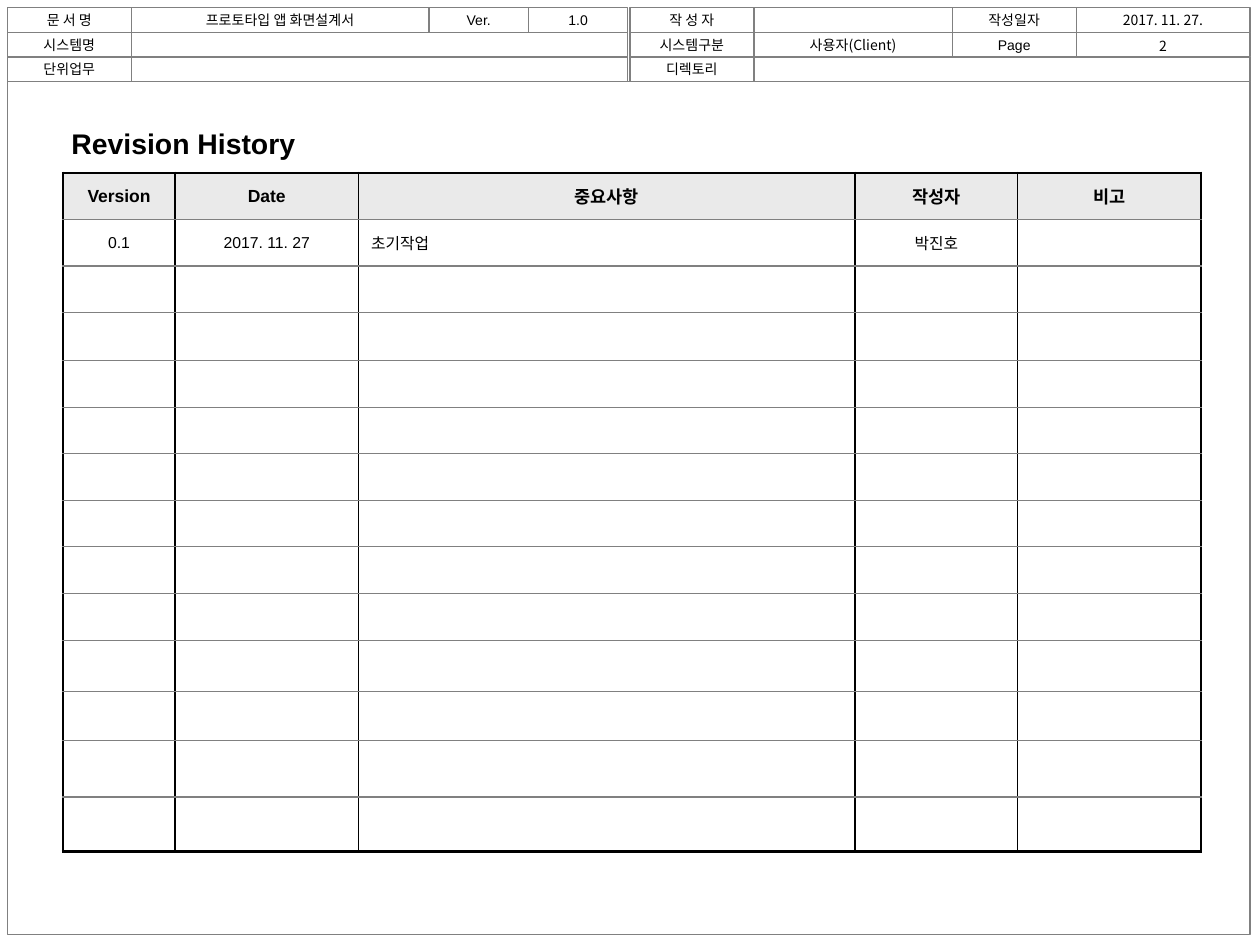
from dataclasses import dataclass

from lxml.etree import SubElement
from pptx import Presentation
from pptx.dml.color import RGBColor
from pptx.enum.shapes import MSO_SHAPE as Preset
from pptx.enum.text import MSO_ANCHOR as Anchor, PP_ALIGN as Align
from pptx.oxml.ns import qn
from pptx.util import Pt


@dataclass(frozen=True)
class Theme:
    ink: str = "000000"
    rule: str = "808080"
    header_fill: str = "EAEAEA"
    latin: str = "Arial"
    korean: str = "Noto Sans CJK KR"
    label_size: float = 8
    title_size: float = 16.2
    head_size: float = 10
    body_size: float = 9
    thin: float = 0.75
    medium: float = 1
    thick: float = 1.5


THEME = Theme()

# Document header grid: left edges of columns, top edges of rows
LEFT_X = (4.3, 75, 245.2, 302, 358.8)
RIGHT_X = (360, 430.8, 544.2, 615, 714.3)
ROW_TOP, ROW_HEIGHT = 4.3, 14.1

# Each cell: edges, row, first column, last column, text
HEADER_CELLS = [
    (LEFT_X, 0, 0, 1, "문 서 명"),
    (LEFT_X, 0, 1, 2, "프로토타입 앱 화면설계서"),
    (LEFT_X, 0, 2, 3, "Ver."),
    (LEFT_X, 0, 3, 4, "1.0"),
    (LEFT_X, 1, 0, 1, "시스템명"),
    (LEFT_X, 1, 1, 4, ""),
    (LEFT_X, 2, 0, 1, "단위업무"),
    (LEFT_X, 2, 1, 4, ""),
    (RIGHT_X, 0, 0, 1, "작 성 자"),
    (RIGHT_X, 0, 1, 2, ""),
    (RIGHT_X, 0, 2, 3, "작성일자"),
    (RIGHT_X, 0, 3, 4, ""),
    (RIGHT_X, 1, 0, 1, "시스템구분"),
    (RIGHT_X, 1, 1, 2, ""),
    (RIGHT_X, 1, 2, 3, "Page"),
    (RIGHT_X, 1, 3, 4, ""),
    (RIGHT_X, 2, 0, 1, "디렉토리"),
    (RIGHT_X, 2, 1, 4, ""),
]

# Header values: left, top, width, height, text
HEADER_VALUES = [
    (615, 2.7, 99.2, 17.3, "2017. 11. 27."),
    (615, 19.2, 99.2, 14.2, "2"),
    (430.8, 17, 113.4, 17.3, "사용자(Client)"),
]

HISTORY = [
    ("Version", "Date", "중요사항", "작성자", "비고"),
    ("0.1", "2017. 11. 27", "초기작업", "박진호", ""),
]
COLUMN_WIDTHS = (64, 104.9, 283.7, 93, 104.6)
ROW_HEIGHTS = (26.6,) * 3 + (27.5,) + (26.6,) * 5 + (27.1, 28.9, 28, 32.5, 31.1)
NOTES_COLUMN = 2


def color(value):
    return RGBColor.from_string(value)


def apply(target, values):
    for name, value in values.items():
        setattr(target, name, value)


def add_text(paragraph, text, size, latin=THEME.latin, bold=False, align=Align.CENTER):
    paragraph.alignment = align
    run = paragraph.add_run()
    run.text = text
    apply(run.font, {"size": Pt(size), "name": latin, "bold": bold})
    run.font.color.rgb = color(THEME.ink)
    SubElement(run.font._element, qn("a:ea")).set("typeface", THEME.korean)


def add_box(slide, left, top, width, height, text=""):
    shape = slide.shapes.add_shape(
        Preset.RECTANGLE, Pt(left), Pt(top), Pt(width), Pt(height))
    shape.shadow.inherit = False
    shape.fill.background()
    shape.line.color.rgb = color(THEME.rule)
    shape.line.width = Pt(THEME.thin)
    if text:
        apply(shape.text_frame, {
            "margin_top": 0, "margin_bottom": 0,
            "vertical_anchor": Anchor.MIDDLE, "word_wrap": True})
        add_text(shape.text_frame.paragraphs[0], text, THEME.label_size)


def add_label(slide, left, top, width, height, text, size, anchor, **style):
    box = slide.shapes.add_textbox(Pt(left), Pt(top), Pt(width), Pt(height))
    apply(box.text_frame, {"word_wrap": True, "vertical_anchor": anchor})
    if anchor == Anchor.MIDDLE:
        apply(box.text_frame, {"margin_top": 0, "margin_bottom": 0})
    add_text(box.text_frame.paragraphs[0], text, size, **style)


def set_borders(cell, borders):
    properties = cell._tc.get_or_add_tcPr()
    for position, (side, (line_color, width)) in enumerate(borders.items()):
        line = properties.makeelement(qn(f"a:{side}"), {"w": str(Pt(width))})
        fill = SubElement(line, qn("a:solidFill"))
        SubElement(fill, qn("a:srgbClr")).set("val", line_color)
        properties.insert(position, line)


def fill_cell(cell, text, is_head, align):
    cell.vertical_anchor = Anchor.MIDDLE
    size = THEME.head_size if is_head else THEME.body_size
    paragraph = cell.text_frame.paragraphs[0]
    if text:
        add_text(paragraph, text, size, bold=is_head, align=align)
        spacing = SubElement(paragraph._p.get_or_add_pPr(), qn("a:spcBef"))
        SubElement(spacing, qn("a:spcPct")).set("val", "20000")
    else:
        # Keeps an empty row from growing
        SubElement(paragraph._p, qn("a:endParaRPr")).set("sz", str(int(size * 100)))
    if is_head:
        cell.fill.solid()
        cell.fill.fore_color.rgb = color(THEME.header_fill)
    else:
        cell.fill.background()


def add_history(slide, left, top):
    last_row, last_column = len(ROW_HEIGHTS) - 1, len(COLUMN_WIDTHS) - 1
    table = slide.shapes.add_table(
        last_row + 1, last_column + 1, Pt(left), Pt(top),
        Pt(sum(COLUMN_WIDTHS)), Pt(sum(ROW_HEIGHTS))).table
    apply(table, {"first_row": False, "horz_banding": False})
    for column, width in zip(table.columns, COLUMN_WIDTHS):
        column.width = Pt(width)
    outer = (THEME.ink, THEME.thick)
    upright = (THEME.ink, THEME.medium)
    level = (THEME.rule, THEME.thin)
    for r, height in enumerate(ROW_HEIGHTS):
        table.rows[r].height = Pt(height)
        for c in range(last_column + 1):
            cell = table.cell(r, c)
            text = HISTORY[r][c] if r < len(HISTORY) else ""
            is_note = r > 0 and c == NOTES_COLUMN
            fill_cell(cell, text, r == 0, Align.LEFT if is_note else Align.CENTER)
            set_borders(cell, {
                "lnL": outer if c == 0 else upright,
                "lnR": outer if c == last_column else upright,
                "lnT": outer if r == 0 else level,
                "lnB": outer if r == last_row else level})


def main():
    presentation = Presentation()
    apply(presentation, {"slide_width": Pt(720), "slide_height": Pt(540)})
    slide = presentation.slides.add_slide(presentation.slide_layouts[6])

    # Page frame and document header
    add_box(slide, 4.3, 46.6, 710, 487.6)
    for edges, row, first, last, text in HEADER_CELLS:
        add_box(slide, edges[first], ROW_TOP + row * ROW_HEIGHT,
                edges[last] - edges[first], ROW_HEIGHT, text)
    for *place, text in HEADER_VALUES:
        add_label(slide, *place, text, THEME.label_size, Anchor.MIDDLE,
                  latin=THEME.korean)

    # Title and revision table
    add_label(slide, 33.8, 68.4, 230.4, 24.5, "Revision History",
              THEME.title_size, Anchor.TOP, bold=True, align=Align.LEFT)
    add_history(slide, 36, 98.8)

    presentation.save("out.pptx")


main()
